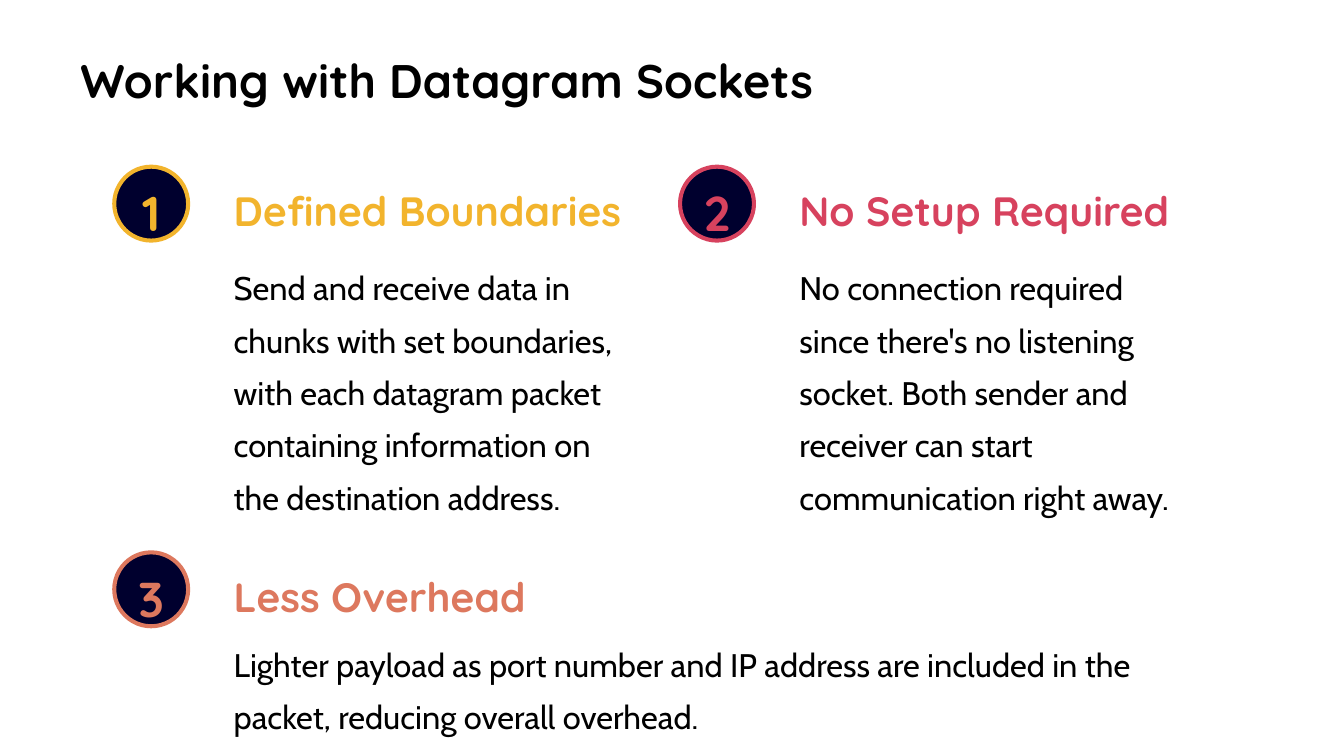
"""Build a slide on datagram sockets with three numbered points."""
from pptx import Presentation
from pptx.dml.color import RGBColor
from pptx.enum.shapes import MSO_SHAPE as Shape
from pptx.enum.text import MSO_ANCHOR as Anchor, PP_ALIGN as Align
from pptx.util import Inches, Pt

WIDTH = 10
HEIGHT = WIDTH * 9 / 16
COLUMNS = (0.85, 5.06)
ROWS = (1.24, 4.11)
BADGE = 0.55
INDENT = 0.79
INK, NAVY = "000000", "00002E"
HEAD_FONT, BODY_FONT = "Quicksand", "Cabin"

POINTS = (
    dict(column=0, row=0, color="F2B42D", title="Defined Boundaries", title_width=3,
         body="Send and receive data in chunks with set boundaries, with each datagram "
              "packet containing information on the destination address.",
         body_size=(3.18, 1.94), body_drop=0.61),
    dict(column=1, row=0, color="D7425E", title="No Setup Required", title_width=2.9,
         body="No connection required since there's no listening socket. Both sender and "
              "receiver can start communication right away.",
         body_size=(3.18, 1.94), body_drop=0.61),
    dict(column=0, row=1, color="DD785E", title="Less Overhead", title_width=2.43,
         body="Lighter payload as port number and IP address are included in the packet, "
              "reducing overall overhead.",
         body_size=(7.39, 0.78), body_drop=0.54),
)


def rgb(code):
    return RGBColor.from_string(code)


def add_text(page, text, left, top, width, height, *, size, font=HEAD_FONT, color=INK,
             bold=True, align=Align.LEFT, leading=None, sides=(0.1, 0.1)):
    box = page.shapes.add_textbox(*map(Inches, (left, top, width, height)))
    frame = box.text_frame
    frame.word_wrap = True
    frame.margin_left, frame.margin_right = map(Inches, sides)
    para = frame.paragraphs[0]
    para.alignment = align
    if leading:
        para.line_spacing = Pt(leading)
    span = para.add_run()
    span.text = text
    span.font.name = font
    span.font.size = Pt(size)
    span.font.bold = bold
    span.font.color.rgb = rgb(color)
    return frame


def add_title(page, text):
    frame = add_text(page, text, 0.5, 0.49, 9, 0.63, size=25.2)
    frame.vertical_anchor = Anchor.MIDDLE
    frame.margin_top, frame.margin_bottom = 0, Inches(0.43)


def add_badge(page, number, left, top, color):
    badge = page.shapes.add_shape(Shape.ROUNDED_RECTANGLE,
                                  *map(Inches, (left, top, BADGE, BADGE)))
    badge.adjustments[0] = 0.5
    badge.shadow.inherit = False
    badge.fill.solid()
    badge.fill.fore_color.rgb = rgb(NAVY)
    badge.line.color.rgb = rgb(color)
    badge.line.width = Pt(2.18)
    width = 0.22
    add_text(page, str(number), left + (BADGE - width) / 2, top + 0.05, width, 0.46,
             size=26.2, color=color, align=Align.CENTER, leading=32.8, sides=(0, 0))


def add_point(page, number, column, row, color, title, title_width, body, body_size, body_drop):
    left, top = COLUMNS[column], ROWS[row]
    add_badge(page, number, left, top, color)
    add_text(page, title, left + INDENT, top + 0.08, title_width, 0.38,
             size=21.9, color=color, leading=27.3, sides=(0.1, 0))
    add_text(page, body, left + INDENT, top + body_drop, *body_size,
             size=17.5, font=BODY_FONT, bold=False, leading=28)


def main():
    deck = Presentation()
    deck.slide_width, deck.slide_height = Inches(WIDTH), Inches(HEIGHT)
    page = deck.slides.add_slide(deck.slide_layouts[6])
    add_title(page, "Working with Datagram Sockets")
    for number, point in enumerate(POINTS, start=1):
        add_point(page, number, **point)
    deck.save("out.pptx")


if __name__ == "__main__":
    main()
